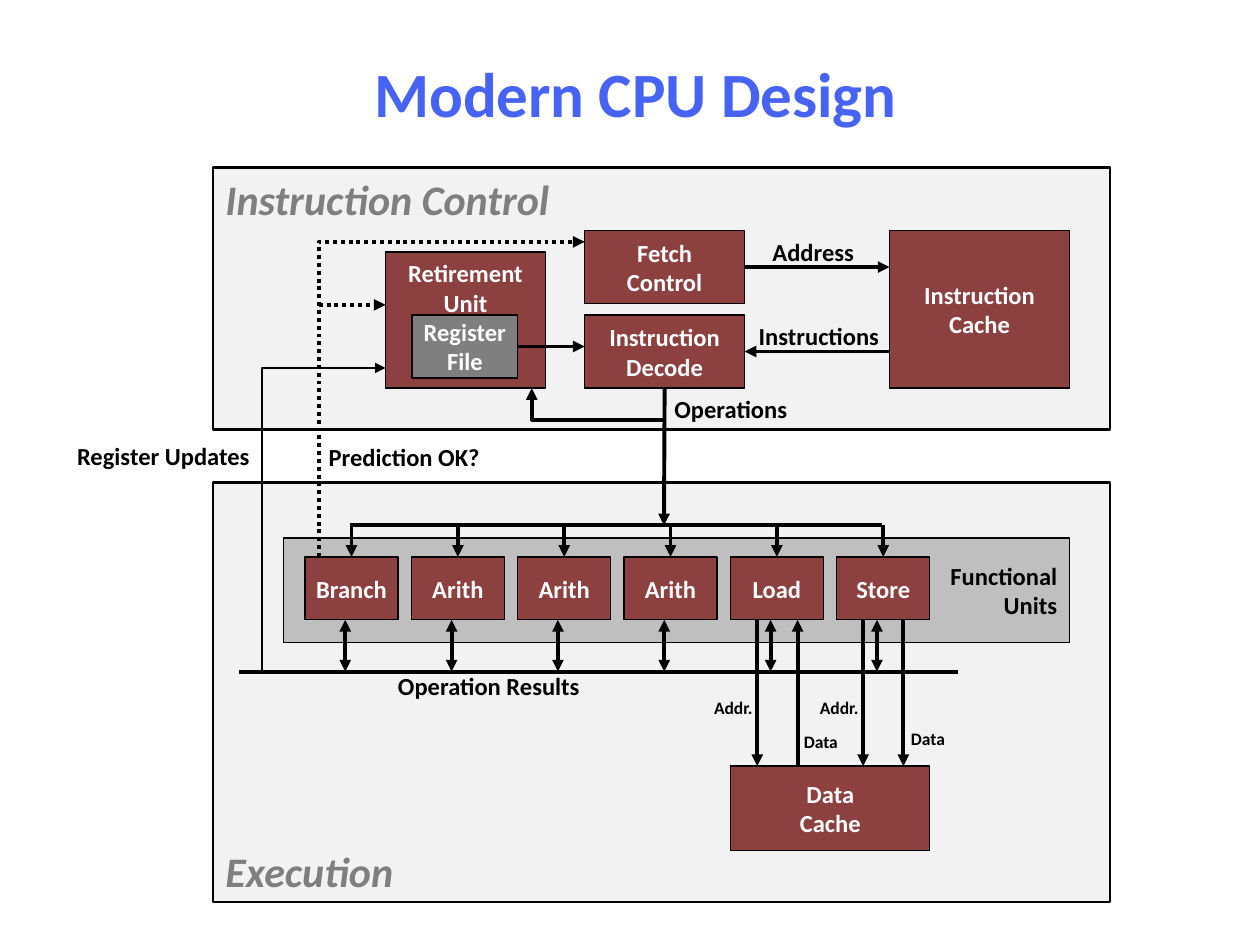
from pptx import Presentation
from pptx.dml.color import RGBColor
from pptx.enum.dml import MSO_LINE
from pptx.enum.shapes import MSO_CONNECTOR, MSO_SHAPE
from pptx.enum.text import MSO_ANCHOR, MSO_AUTO_SIZE, PP_ALIGN
from pptx.oxml.ns import qn
from pptx.util import Inches, Pt
from lxml.etree import SubElement

LEFT, CENTER, RIGHT = PP_ALIGN.LEFT, PP_ALIGN.CENTER, PP_ALIGN.RIGHT
TOP, MIDDLE, BOTTOM = MSO_ANCHOR.TOP, MSO_ANCHOR.MIDDLE, MSO_ANCHOR.BOTTOM
RED, GRAY, PALE, SILVER = "8C4040", "7F7F7F", "F2F2F2", "BFBFBF"
BLACK, WHITE, BLUE = "000000", "FFFFFF", "4763F3"


def write_text(shape, text, size, color, align=CENTER, anchor=MIDDLE, italic=None):
    text_frame = shape.text_frame
    text_frame.text = text
    text_frame.word_wrap = False
    text_frame.vertical_anchor = anchor
    for paragraph in text_frame.paragraphs:
        paragraph.alignment = align
        for run in paragraph.runs:
            run.font.name = "Calibri"
            run.font.size = Pt(size)
            run.font.bold = True
            run.font.italic = italic
            run.font.color.rgb = RGBColor.from_string(color)


def style_line(shape, width=2.25, dotted=False, ends=("tailEnd",)):
    shape.line.width = Pt(width)
    shape.line.color.rgb = RGBColor.from_string(BLACK)
    if dotted:
        shape.line.dash_style = MSO_LINE.ROUND_DOT
    properties = shape._element.spPr
    for end in ends:
        SubElement(properties.find(qn("a:ln")), qn("a:" + end), type="triangle")
    SubElement(properties, qn("a:effectLst"))


presentation = Presentation()
presentation.slide_width = Inches(10)
presentation.slide_height = Inches(7.5)
slide = presentation.slides.add_slide(presentation.slide_layouts[5])
shapes = slide.shapes

title = shapes.title
title.left, title.top = Inches(1.84), Inches(0.42)
title.width, title.height = Inches(6.41), Inches(0.63)
write_text(title, "Modern CPU Design", 36, BLUE)

panels = [
    ("Execution", 1.69, 3.83, 7.12, 3.33, PALE, 1.5, 24, GRAY, LEFT, BOTTOM, True),
    ("Functional\nUnits", 2.25, 4.27, 6.24, 0.83, SILVER, 0.75, 14, BLACK, RIGHT, MIDDLE, None),
    ("Instruction Control", 1.69, 1.33, 7.12, 2.08, PALE, 1.5, 24, GRAY, LEFT, TOP, True),
]
blocks = [
    ("Instruction\nCache", 7.06, 1.83, 1.43, 1.25, RED, MIDDLE),
    ("Data\nCache", 5.8, 6.08, 1.58, 0.67, RED, MIDDLE),
    ("Fetch\nControl", 4.64, 1.83, 1.27, 0.58, RED, MIDDLE),
    ("Instruction\nDecode", 4.64, 2.5, 1.27, 0.58, RED, MIDDLE),
    ("Retirement\nUnit", 3.06, 2, 1.27, 1.08, RED, TOP),
    ("Register\nFile", 3.27, 2.5, 0.84, 0.5, GRAY, MIDDLE),
]
unit_names = ["Branch", "Arith", "Arith", "Arith", "Load", "Store"]
unit_pitch = 0.844
unit_lefts = [2.42 + unit_pitch * index for index in range(len(unit_names))]
units = [(name, left, 4.42, 0.74, 0.5, RED, MIDDLE) for name, left in zip(unit_names, unit_lefts)]
boxes = panels + [
    (*block[:6], 0.75, 14, WHITE, CENTER, block[6], None) for block in blocks + units
]

rectangles = []
for text, left, top, width, height, fill, border, size, color, align, anchor, italic in boxes:
    rectangle = shapes.add_shape(
        MSO_SHAPE.RECTANGLE, Inches(left), Inches(top), Inches(width), Inches(height))
    rectangle.fill.solid()
    rectangle.fill.fore_color.rgb = RGBColor.from_string(fill)
    style_line(rectangle, border, ends=())
    write_text(rectangle, text, size, color, align, anchor, italic)
    rectangles.append(rectangle)
data_cache, fetch, decode, retirement, register_file = rectangles[4:9]
unit_boxes = rectangles[9:]

one_way, two_way = ("tailEnd",), ("headEnd", "tailEnd")
lines = [
    (5.91, 2.12, 7.06, 2.12, one_way, False, (fetch, 3), None),
    (7.06, 2.79, 5.91, 2.79, one_way, False, None, (decode, 3)),
    (5.27, 3.08, 5.27, 4.17, one_way, False, (decode, 2), None),
    (4.11, 2.75, 4.64, 2.75, one_way, False, (register_file, 3), None),
    (2.53, 2.42, 3.06, 2.42, one_way, True, None, None),
    (2.78, 4.17, 7, 4.17, (), False, None, None),
    (1.9, 5.33, 7.6, 5.33, (), False, None, None),
    (6.33, 6.08, 6.33, 4.92, one_way, False, None, None),
]
for x in (6.01, 6.85, 7.17):
    lines.append((x, 4.92, x, 6.08, one_way, False, None, None))
for left, unit_box in zip(unit_lefts, unit_boxes):
    lines.append((left + 0.37, 4.17, left + 0.37, 4.42, one_way, False, None, (unit_box, 0)))
    lines.append((left + 0.32, 4.92, left + 0.32, 5.33, two_way, False, None, None))

for x1, y1, x2, y2, ends, dotted, begin, finish in lines:
    connector = shapes.add_connector(
        MSO_CONNECTOR.STRAIGHT, Inches(x1), Inches(y1), Inches(x2), Inches(y2))
    if begin:
        connector.begin_connect(*begin)
    if finish:
        connector.end_connect(*finish)
    style_line(connector, dotted=dotted, ends=ends)

bent_arrows = [
    ([(2.53, 4.42), (2.53, 1.92), (4.64, 1.92)], 2.25, True),
    ([(2.08, 5.33), (2.08, 2.92), (3.06, 2.92)], 1.5, False),
    ([(5.27, 3.33), (4.22, 3.33), (4.22, 3.08)], 2.25, False),
]
for points, width, dotted in bent_arrows:
    corners = [(Inches(x), Inches(y)) for x, y in points]
    builder = shapes.build_freeform(*corners[0])
    builder.add_line_segments(corners[1:], close=False)
    bent_arrow = builder.convert_to_shape()
    bent_arrow.fill.background()
    style_line(bent_arrow, width, dotted)

labels = [
    ("Address", 6.03, 1.83, 0.85, 0.34, 14, CENTER),
    ("Instructions", 5.92, 2.5, 1.16, 0.34, 14, CENTER),
    ("Operations", 5.25, 3.08, 1.1, 0.34, 14, CENTER),
    ("Prediction OK?", 2.51, 3.46, 1.4, 0.34, 14, LEFT),
    ("Register Updates", 0.5, 3.45, 1.58, 0.34, 14, RIGHT),
    ("Operation Results", 3.06, 5.28, 1.65, 0.34, 14, LEFT),
    ("Addr.", 5.56, 5.48, 0.52, 0.27, 10, CENTER),
    ("Addr.", 6.4, 5.48, 0.52, 0.27, 10, CENTER),
    ("Data", 6.28, 5.75, 0.47, 0.27, 10, CENTER),
    ("Data", 7.13, 5.73, 0.47, 0.27, 10, CENTER),
]
for text, left, top, width, height, size, align in labels:
    label = shapes.add_textbox(Inches(left), Inches(top), Inches(width), Inches(height))
    write_text(label, text, size, BLACK, align, TOP)
    label.text_frame.auto_size = MSO_AUTO_SIZE.SHAPE_TO_FIT_TEXT

presentation.save("out.pptx")
